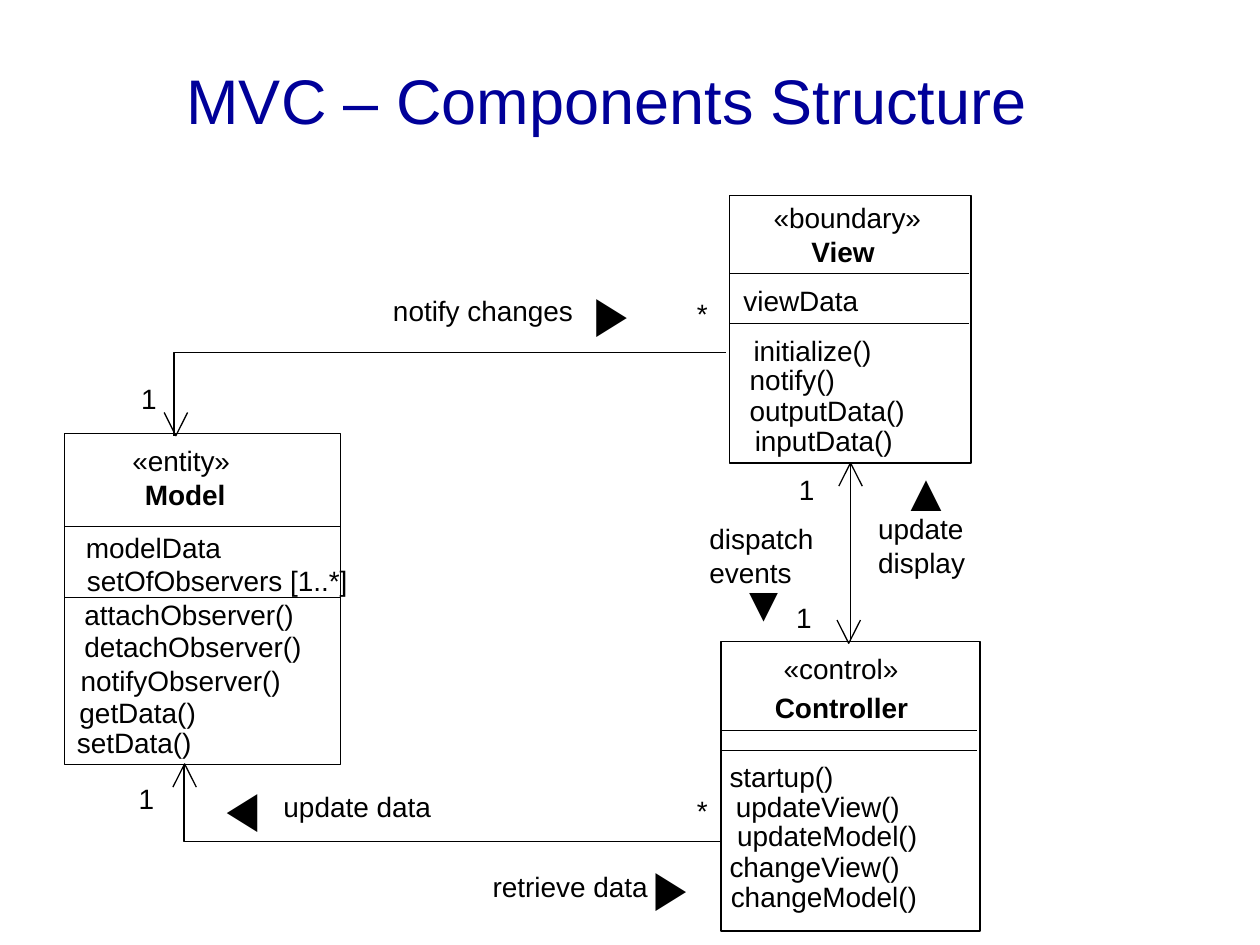
"""Builds the MVC component structure slide."""
from lxml import etree
from pptx import Presentation
from pptx import util as u
from pptx.dml.color import RGBColor
from pptx.enum import shapes, text
from pptx.oxml.ns import qn


def rgb(value):
    return RGBColor.from_string(value)


def write(tf, content, size=16, color="000000", bold=False, font="Arial", wrap=False, inset=(0, 0)):
    tf.word_wrap = wrap
    tf.auto_size = text.MSO_AUTO_SIZE.NONE
    tf.vertical_anchor = text.MSO_ANCHOR.TOP
    tf.margin_left = tf.margin_right = u.Pt(inset[0])
    tf.margin_top = tf.margin_bottom = u.Pt(inset[1])
    p = tf.paragraphs[0]
    p.alignment = text.PP_ALIGN.LEFT
    r = p.add_run()
    r.text = content
    r.font.name, r.font.size, r.font.bold = font, u.Pt(size), bold
    r.font.color.rgb = rgb(color)


class Diagram:
    def __init__(self, s, ink="000000", weight=0.75):
        self.s, self.ink, self.weight = s, ink, weight

    def stroke(self, sp):
        sp.line.color.rgb = rgb(self.ink)
        sp.line.width = u.Pt(self.weight)

    def title(self, content, x, y, w, h):
        sp = self.s.shapes.title
        sp.left, sp.top, sp.width, sp.height = map(u.Pt, (x, y, w, h))
        write(sp.text_frame, content, size=36, color="000099", wrap=True, inset=(7.2, 3.6))

    def label(self, content, x, y, w, h=19.2, **style):
        sp = self.s.shapes.add_textbox(*map(u.Pt, (x, y, w, h)))
        write(sp.text_frame, content, color=self.ink, **style)

    def box(self, x, y, w, h):
        sp = self.s.shapes.add_shape(shapes.MSO_SHAPE.RECTANGLE, *map(u.Pt, (x, y, w, h)))
        sp.shadow.inherit = False
        sp.fill.background()
        self.stroke(sp)
        return sp

    def line(self, x1, y1, x2, y2):
        sp = self.s.shapes.add_connector(shapes.MSO_CONNECTOR.STRAIGHT, *map(u.Pt, (x1, y1, x2, y2)))
        self.stroke(sp)
        etree.SubElement(sp._element.spPr, qn("a:effectLst"))
        return sp

    def path_line(self, *points):
        start, *rest = [tuple(map(u.Pt, point)) for point in points]
        fb = self.s.shapes.build_freeform(*start, scale=1.0)
        fb.add_line_segments(rest, close=False)
        sp = fb.convert_to_shape()
        sp.shadow.inherit = False
        sp.fill.background()
        self.stroke(sp)

    def arrowhead(self, x, y, down=False):
        tail = y - 13.3 if down else y + 13.3
        self.path_line((x - 6.7, tail), (x, y), (x + 6.7, tail))

    def uml_class(self, frame, dividers, rule_width, stereotype, name, members):
        sp = self.box(*frame)
        for y in dividers:
            self.line(frame[0], y, frame[0] + rule_width, y)
        self.label(*stereotype)
        self.label(*name, bold=True)
        for member in members:
            self.label(*member)
        return sp


def main():
    prs = Presentation()
    prs.slide_width, prs.slide_height = u.Pt(720), u.Pt(540)
    s = prs.slides.add_slide(prs.slide_layouts[5])
    d = Diagram(s)
    d.title("MVC – Components Structure", 99.4, 31.7, 532.8, 50.4)

    view = d.uml_class(
        (417, 111.6, 138, 153), (156.5, 185), 136.7,
        ("«boundary»", 442, 114.5, 84), ("View", 463.7, 134, 36.7),
        [("viewData", 424.8, 162, 65.5),
         ("initialize()", 430.6, 190.8, 67.7),
         ("notify()", 428.4, 207.4, 49),
         ("outputData()", 428.4, 224.6, 88.6),
         ("inputData()", 431.3, 242, 79)])
    controller = d.uml_class(
        (412, 366.5, 148, 165.6), (417.6, 428.8), 146.5,
        ("«control»", 447.8, 372.2, 65.5), ("Controller", 442.8, 394.6, 76.3),
        [("startup()", 416.9, 434.2, 59.8),
         ("updateView()", 420.5, 451.4, 94.3),
         ("updateModel()", 421.2, 468, 103),
         ("changeView()", 416.9, 485.3, 97.9),
         ("changeModel()", 417.6, 502.6, 106.6)])
    d.uml_class(
        (36.7, 247.7, 157.7, 189.4), (301, 341.3), 157.7,
        ("«entity»", 75.6, 253.4, 56.2), ("Model", 82.8, 272.9, 46),
        [("modelData", 49.1, 303.1, 76.9),
         ("setOfObservers [1..*]", 49.7, 321.8, 149),
         ("attachObserver()", 48.2, 341.3, 119.5),
         ("detachObserver()", 48.2, 360, 124.6),
         ("notifyObserver()", 46.1, 379.4, 114.5),
         ("getData()", 45.4, 397.4, 66.2),
         ("setData()", 43.9, 414.7, 65.5)])

    link = d.line(486, 264.6, 486, 366.5)
    link.begin_connect(view, 2)
    link.end_connect(controller, 0)
    d.path_line((99.4, 249), (99.4, 201.6), (414.7, 201.6))
    d.path_line((412, 481), (105.1, 481), (105.1, 436.5))
    for x, y, down in [(486, 264.5, False), (485, 367.6, True), (105.5, 436.5, False), (100.5, 249, True)]:
        d.arrowhead(x, y, down)

    for label in [("notify changes", 224.6, 167.8, 103), ("update data", 162, 451.4, 84.2),
                  ("retrieve data", 281.5, 496.8, 92.9),
                  ("*", 398.2, 169.2, 6.5), ("*", 398.2, 453.6, 6.5),
                  ("1", 456.5, 270, 8.9), ("1", 455, 343.4, 8.9),
                  ("1", 80.6, 218.2, 8.6), ("1", 79.2, 446.4, 8.6)]:
        d.label(*label)
    d.label("update display", 501.8, 292.3, 61.2, 38.2, wrap=True)
    d.label("dispatch events", 405.4, 298, 68.4, 38.2, wrap=True)
    for mark, x, y, size in [("▼", 422.6, 326.9, 28), ("▲", 514.8, 262.1, 30), ("▶", 339.1, 160.6, 30),
                             ("◀", 128.9, 443.5, 30), ("▶", 373, 488.9, 30)]:
        d.label(mark, x, y, 30, 36, size=size, wrap=True)

    prs.save("out.pptx")


if __name__ == "__main__":
    main()
